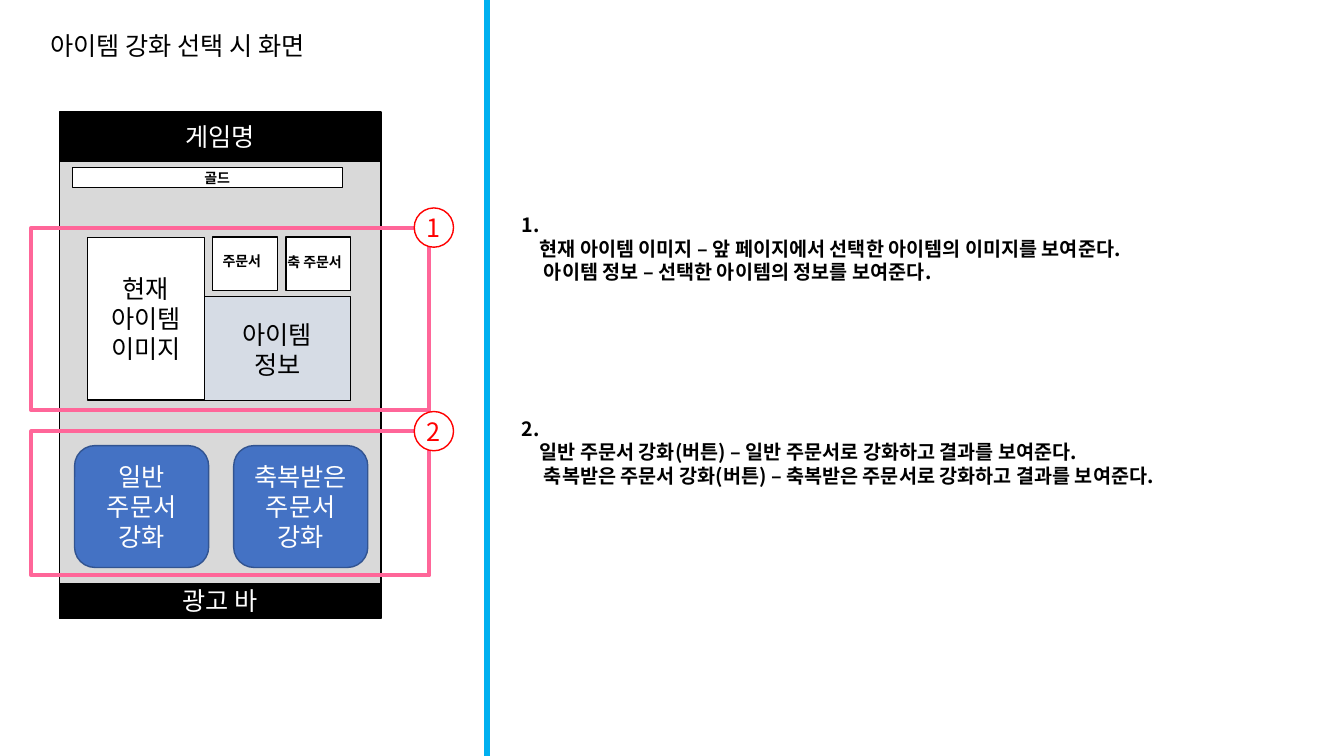
import pptx
import pptx.dml.color
import pptx.enum.shapes
import pptx.enum.text
import pptx.oxml.ns
import pptx.util
from lxml import etree

Cm = pptx.util.Cm
Pt = pptx.util.Pt
RGBColor = pptx.dml.color.RGBColor
Shape = pptx.enum.shapes.MSO_SHAPE
Align = pptx.enum.text.PP_ALIGN
qn = pptx.oxml.ns.qn

BLACK = RGBColor(0x00, 0x00, 0x00)
WHITE = RGBColor(0xFF, 0xFF, 0xFF)
GREY = RGBColor(0xD9, 0xD9, 0xD9)
PALE_BLUE = RGBColor(0xD6, 0xDC, 0xE5)
BLUE = RGBColor(0x44, 0x72, 0xC4)
DARK_BLUE = RGBColor(0x32, 0x54, 0x91)
PINK = RGBColor(0xFF, 0x66, 0x99)
SKY = RGBColor(0x00, 0xB0, 0xF0)
RED = RGBColor(0xFF, 0x00, 0x00)


class Wireframe:
    font = "Noto Sans CJK KR"

    def __init__(self, page):
        self.page = page

    def add_lines(self, frame, lines, color, size=18, bold=False,
                  align=Align.CENTER, indents=()):
        for index, line in enumerate(lines):
            para = frame.paragraphs[0] if index == 0 else frame.add_paragraph()
            para.alignment = align
            if index < len(indents):
                properties = para._p.get_or_add_pPr()
                properties.set("marL", str(Cm(indents[index])))
                properties.set("indent", "0")
            span = para.add_run()
            span.text = line
            settings = {"name": self.font, "size": Pt(size), "bold": bold}
            for name, value in settings.items():
                setattr(span.font, name, value)
            span.font.color.rgb = color
            # Korean letters take the East Asian font
            etree.SubElement(span._r.get_or_add_rPr(), qn("a:ea"), typeface=self.font)

    def block(self, left, top, width, height, fill=WHITE, line=BLACK, weight=1,
              kind=Shape.RECTANGLE, lines=(), color=WHITE):
        shape = self.page.shapes.add_shape(
            kind, Cm(left), Cm(top), Cm(width), Cm(height))
        shape.shadow.inherit = False
        if fill is None:
            shape.fill.background()
        else:
            shape.fill.solid()
            shape.fill.fore_color.rgb = fill
        shape.line.color.rgb = line
        shape.line.width = Pt(weight)
        settings = {"margin_left": 0, "margin_right": 0,
                    "margin_top": 0, "margin_bottom": 0, "word_wrap": True,
                    "vertical_anchor": pptx.enum.text.MSO_ANCHOR.MIDDLE}
        for name, value in settings.items():
            setattr(shape.text_frame, name, value)
        self.add_lines(shape.text_frame, lines, color)

    def label(self, left, top, width, height, lines, **style):
        box = self.page.shapes.add_textbox(Cm(left), Cm(top), Cm(width), Cm(height))
        box.text_frame.word_wrap = True
        box.text_frame.auto_size = pptx.enum.text.MSO_AUTO_SIZE.SHAPE_TO_FIT_TEXT
        self.add_lines(box.text_frame, lines, BLACK, **style)

    def divider(self, left, height):
        line = self.page.shapes.add_connector(
            pptx.enum.shapes.MSO_CONNECTOR.STRAIGHT, Cm(left), 0, Cm(left), height)
        line.line.color.rgb = SKY
        line.line.width = Pt(4.5)
        etree.SubElement(line._element.spPr, qn("a:effectLst"))

    def callout(self, number, top, height, notes):
        badge_top = top - 0.5
        self.block(0.79, top, 10.03, height, fill=None, line=PINK, weight=3)
        self.block(10.44, badge_top, 0.99, 0.99, line=RED, kind=Shape.OVAL,
                   lines=[str(number)], color=RED)
        self.label(12.9, badge_top, 18.29, 2.06, [f"{number}."] + notes,
                   size=14, bold=True, align=Align.LEFT, indents=(0, 0.45, 0.56))


def main():
    deck = pptx.Presentation()
    deck.slide_width = Cm(33.87)
    deck.slide_height = Cm(19.05)
    wireframe = Wireframe(deck.slides.add_slide(deck.slide_layouts[6]))

    # Title and phone screen
    wireframe.label(1.02, 0.64, 7.82, 1.02, ["아이템 강화 선택 시 화면"], align=Align.LEFT)
    wireframe.block(1.5, 2.87, 8.1, 12.7, GREY)
    for text, top, height in (("게임명", 2.82, 1.24), ("광고 바", 14.71, 0.86)):
        wireframe.block(1.5, top, 8.1, height, BLACK, lines=[text])

    # Item picture and item details
    wireframe.block(3.3, 7.47, 5.54, 2.62, PALE_BLUE)
    wireframe.block(2.21, 5.99, 2.95, 4.09)
    wireframe.label(2.46, 6.76, 2.44, 2.57, ["현재", "아이템", "이미지"])
    wireframe.label(5.77, 7.92, 2.44, 1.8, ["아이템", "정보"])

    # Gold bar and scroll counters
    wireframe.block(1.83, 4.22, 6.81, 0.51)
    for left in (5.36, 7.21):
        wireframe.block(left, 5.97, 1.63, 1.35)
    for text, left, top, width in (("골드", 4.9, 4.14, 1.22),
                                   ("주문서", 5.36, 6.25, 1.57),
                                   ("축 주문서", 6.99, 6.27, 2.06)):
        wireframe.label(left, top, width, 0.69, [text],
                        size=10, bold=True, align=Align.LEFT)

    # Enhancement buttons
    for left, scroll in ((1.88, "일반"), (5.89, "축복받은")):
        wireframe.block(left, 11.23, 3.38, 3.07, BLUE, DARK_BLUE,
                        kind=Shape.ROUNDED_RECTANGLE, lines=[scroll, "주문서", "강화"])

    # Divider and numbered notes
    wireframe.divider(12.27, deck.slide_height)
    wireframe.callout(1, 5.74, 4.6, [
        "현재 아이템 이미지 – 앞 페이지에서 선택한 아이템의 이미지를 보여준다.",
        "아이템 정보 – 선택한 아이템의 정보를 보여준다."])
    wireframe.callout(2, 10.87, 3.63, [
        "일반 주문서 강화(버튼) – 일반 주문서로 강화하고 결과를 보여준다.",
        "축복받은 주문서 강화(버튼) – 축복받은 주문서로 강화하고 결과를 보여준다."])

    deck.save("out.pptx")


if __name__ == "__main__":
    main()
